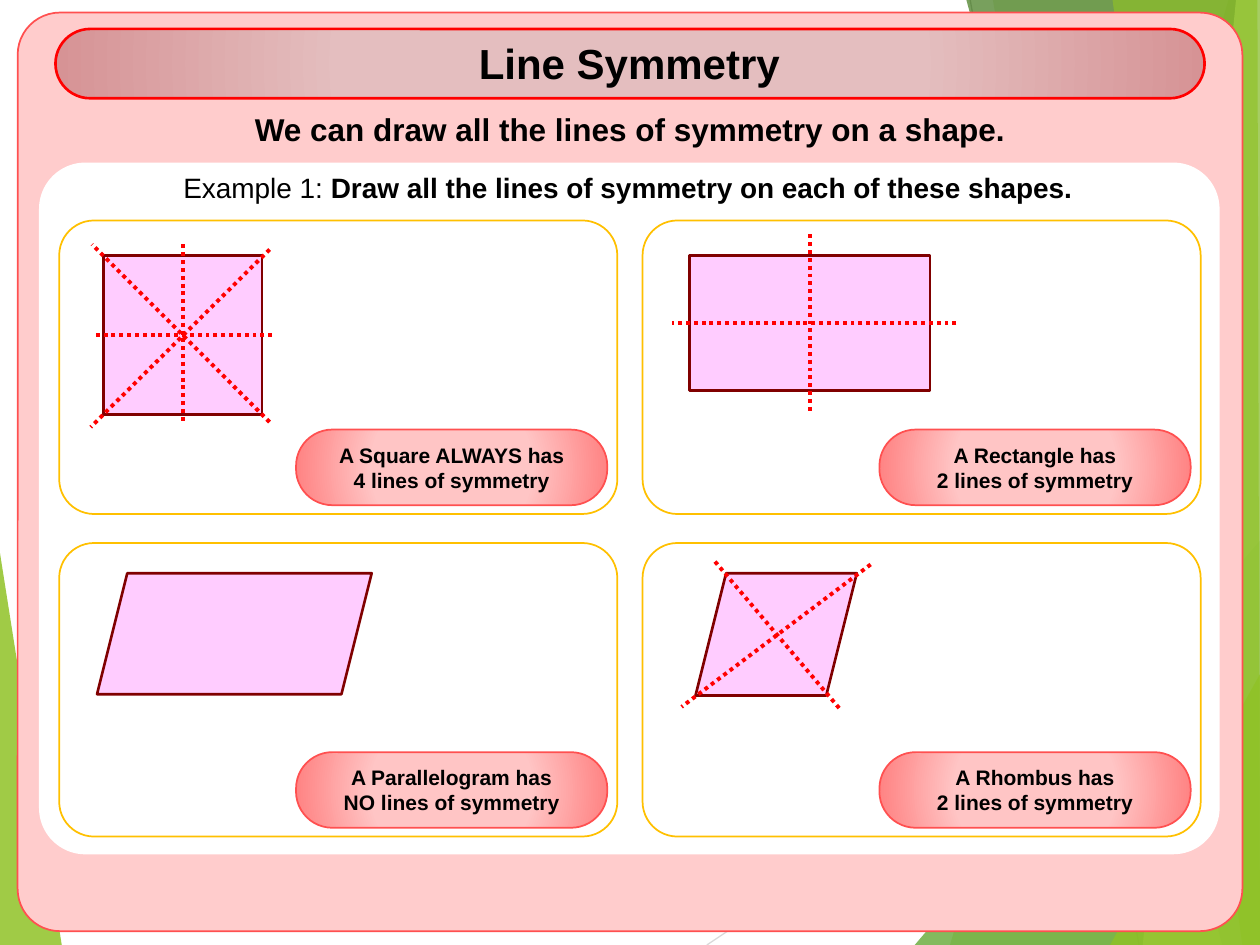
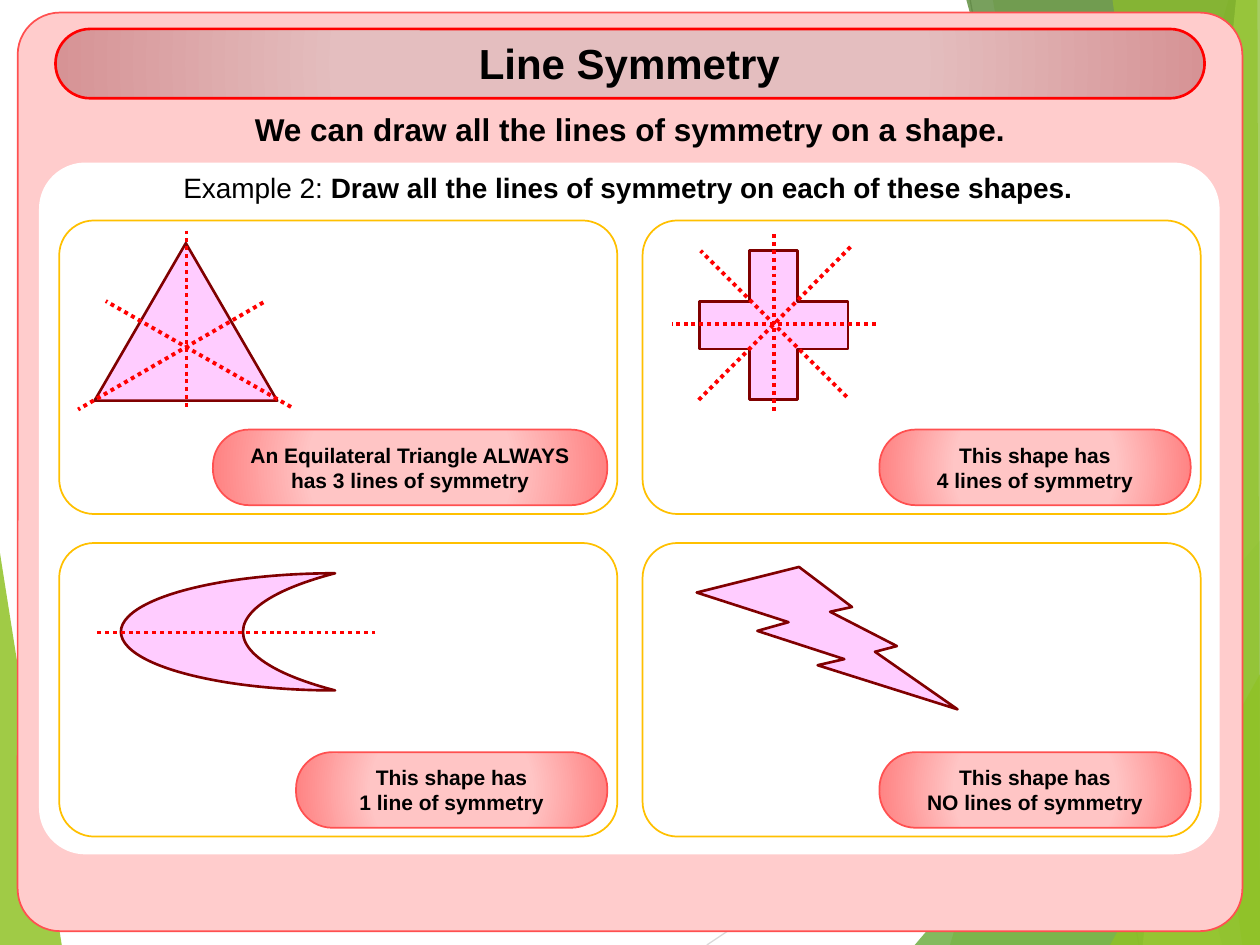
from pptx import Presentation
from pptx.dml.color import RGBColor
from pptx.enum.dml import MSO_LINE
from pptx.enum.shapes import MSO_CONNECTOR, MSO_SHAPE
from pptx.enum.text import MSO_ANCHOR, PP_ALIGN
from pptx.oxml import parse_xml
from pptx.oxml.ns import nsdecls, qn
from pptx.util import Inches, Pt

STRAIGHT = MSO_CONNECTOR.STRAIGHT
ROUNDED = MSO_SHAPE.ROUNDED_RECTANGLE
CENTER, MIDDLE = PP_ALIGN.CENTER, MSO_ANCHOR.MIDDLE
DOTTED, SOLID = MSO_LINE.ROUND_DOT, MSO_LINE.SOLID

WIDTH, HEIGHT = 10, 7.5
FONT = "Arial"
COLORS = {
    "text": "000000", "white": "FFFFFF", "panel": "FFCCCC", "panel_edge": "FF5050",
    "band_center": "E4BEBF", "band_rim": "D69395", "axis": "FF0000",
    "badge_center": "FFC5C5", "badge_rim": "FF8080", "card_edge": "FFC000",
    "figure": "FFCCFF", "figure_edge": "800000",
    "lime": "90C226", "green": "54A021", "forest": "3F7819", "pale": "C0E474",
    "light_gray": "D9D9D9", "gray": "BFBFBF",
}

# Backdrop facets: colour, opacity in percent, corners
FACETS = [
    ("lime", 85, [(0, 4.39), (0.49, HEIGHT), (0, HEIGHT)]),
    ("lime", 30, [(9.75, 0), (7.54, HEIGHT), (WIDTH, HEIGHT), (WIDTH, 0)]),
    ("lime", 20, [(7.88, 0), (9.19, HEIGHT), (WIDTH, HEIGHT), (WIDTH, 0)]),
    ("green", 72, [(7.26, HEIGHT), (WIDTH, 4.29), (WIDTH, HEIGHT)]),
    ("forest", 70, [(7.67, 0), (9.7, HEIGHT), (WIDTH, HEIGHT), (WIDTH, 0)]),
    ("pale", 70, [(9.81, 0), (9.07, HEIGHT), (WIDTH, HEIGHT), (WIDTH, 0)]),
    ("lime", 65, [(8.83, 0), (9.86, HEIGHT), (WIDTH, HEIGHT), (9.98, 0)]),
    ("lime", 80, [(8.81, HEIGHT), (WIDTH, 5.35), (WIDTH, HEIGHT)]),
]

# Two-by-two grid of cards; figures and axes are measured from a card's corner
COLUMNS, ROWS = (0.47, 5.1), (1.75, 4.31)
CARD_WIDTH, CARD_HEIGHT = 4.43, 2.33
BADGE_HEIGHT, BADGE_MARGIN = 0.6, 0.08

# Each card: figure, its box, adjustment, axes of symmetry, badge width, badge text
EXAMPLES = [
    [
        (MSO_SHAPE.RECTANGLE, (0.35, 0.28, 1.26, 1.26), None,
         [(0.98, 0.19, 0.98, 1.61), (1.69, 0.91, 0.27, 0.91),
          (1.67, 0.23, 0.25, 1.64), (1.67, 1.6, 0.26, 0.19)],
         2.47, "A Square ALWAYS has\n4 lines of symmetry"),
        (MSO_SHAPE.RECTANGLE, (0.37, 0.28, 1.91, 1.07), None,
         [(1.33, 0.11, 1.33, 1.53), (2.49, 0.81, 0.23, 0.81)],
         2.47, "A Rectangle has\n2 lines of symmetry"),
        (MSO_SHAPE.PARALLELOGRAM, (0.3, 0.24, 2.18, 0.96), None, [],
         2.47, "A Parallelogram has\nNO lines of symmetry"),
        (MSO_SHAPE.PARALLELOGRAM, (0.42, 0.24, 1.28, 0.97), None,
         [(1.81, 0.17, 0.31, 1.3), (1.56, 1.31, 0.56, 0.13)],
         2.47, "A Rhombus has\n2 lines of symmetry"),
    ],
    [
        (MSO_SHAPE.ISOSCELES_TRIANGLE, (0.28, 0.18, 1.45, 1.25), None,
         [(1.01, 0.08, 1.01, 1.5), (1.62, 0.65, 0.15, 1.5), (1.84, 1.48, 0.37, 0.64)],
         3.13, "An Equilateral Triangle ALWAYS has 3 lines of symmetry"),
        (MSO_SHAPE.CROSS, (0.45, 0.24, 1.18, 1.18), 0.34,
         [(1.04, 0.11, 1.04, 1.53), (1.85, 0.82, 0.23, 0.82),
          (1.65, 0.21, 0.43, 1.44), (1.62, 1.4, 0.46, 0.24)],
         2.47, "This shape has\n4 lines of symmetry"),
        (MSO_SHAPE.MOON, (0.49, 0.24, 1.7, 0.93), 0.57,
         [(2.51, 0.71, 0.3, 0.71)],
         2.47, "This shape has\n1 line of symmetry"),
        (MSO_SHAPE.LIGHTNING_BOLT, (0.43, 0.19, 2.07, 1.13), None, [],
         2.47, "This shape has\nNO lines of symmetry"),
    ],
]


def add_shape(slide, kind, box, fill=None, edge=None, edge_width=1, adjustment=None):
    """Add a preset shape; a (center, rim) pair as fill gives a radial gradient."""
    shape = slide.shapes.add_shape(kind, *map(Inches, box))
    shape.shadow.inherit = False
    if adjustment is not None:
        shape.adjustments[0] = adjustment
    if isinstance(fill, str):
        shape.fill.solid()
        shape.fill.fore_color.rgb = RGBColor.from_string(COLORS[fill])
    else:
        shape.fill.background()
    if isinstance(fill, tuple):
        center, rim = (COLORS[name] for name in fill)
        stops = "".join(
            f'<a:gs pos="{position}000"><a:srgbClr val="{color}"/></a:gs>'
            for position, color in ((0, center), (50, center), (100, rim)))
        properties = shape.element.spPr
        properties.replace(properties.find(qn("a:noFill")), parse_xml(
            f'<a:gradFill {nsdecls("a")}><a:gsLst>{stops}</a:gsLst><a:path path="circle">'
            '<a:fillToRect l="50000" t="50000" r="50000" b="50000"/></a:path></a:gradFill>'))
    if edge:
        shape.line.color.rgb = RGBColor.from_string(COLORS[edge])
        shape.line.width = Pt(edge_width)
    else:
        shape.line.fill.background()
    return shape


def add_line(slide, ends, color, width, dash):
    line = slide.shapes.add_connector(STRAIGHT, *map(Inches, ends))
    line.line.color.rgb = RGBColor.from_string(COLORS[color])
    line.line.width = Pt(width)
    line.line.dash_style = dash
    line.element.spPr.append(parse_xml(f'<a:effectLst {nsdecls("a")}/>'))
    return line


presentation = Presentation()
presentation.slide_width, presentation.slide_height = Inches(WIDTH), Inches(HEIGHT)

# Layout: title position and backdrop shared by both slides
layout = presentation.slide_layouts.get_by_name("Title Only")
for placeholder in list(layout.placeholders):
    if placeholder.placeholder_format.idx == 0:
        placeholder.left, placeholder.top = Inches(0.67), Inches(0.25)
        placeholder.width, placeholder.height = Inches(8.65), Inches(0.5)
    else:
        layout.shapes.element.remove(placeholder.element)
slides = [presentation.slides.add_slide(layout) for _ in EXAMPLES]

backdrop = [
    add_line(slides[0], (5.61, HEIGHT, WIDTH, 4.57), "light_gray", 0.75, SOLID),
    add_line(slides[0], (7.7, 0, 9.04, HEIGHT), "gray", 0.75, SOLID),
]
for color, opacity, corners in FACETS:
    points = [(Inches(x), Inches(y)) for x, y in corners]
    builder = slides[0].shapes.build_freeform(*points[0])
    builder.add_line_segments(points[1:])
    facet = builder.convert_to_shape()
    facet.shadow.inherit = False
    facet.line.fill.background()
    facet.fill.solid()
    facet.fill.fore_color.rgb = RGBColor.from_string(COLORS[color])
    facet.element.spPr.find(qn("a:solidFill"))[0].append(
        parse_xml(f'<a:alpha {nsdecls("a")} val="{opacity}000"/>'))
    backdrop.append(facet)
for shape in backdrop:
    layout.shapes.element.append(shape.element)

for number, (slide, cards) in enumerate(zip(slides, EXAMPLES), start=1):
    add_shape(slide, ROUNDED, (0.14, 0.1, 9.72, 7.29), "panel", "panel_edge", 1, 0.046)
    add_shape(slide, ROUNDED, (0.31, 1.29, 9.37, 5.49), "white", adjustment=0.067)
    add_shape(slide, ROUNDED, (0.44, 0.23, 9.12, 0.55), ("band_center", "band_rim"),
              "axis", 1.5, 0.5)

    title = slide.shapes.title
    slide.shapes.element.append(title.element)  # bring in front of the band
    title.text_frame.text = "Line Symmetry"
    statement = slide.shapes.add_textbox(*map(Inches, (0.23, 0.82, 9.54, 0.4)))
    statement.text_frame.text = "We can draw all the lines of symmetry on a shape."
    task = slide.shapes.add_textbox(*map(Inches, (0.5, 1.3, 8.97, 0.37)))
    task.text_frame.text = f"Example {number}: "
    instruction = task.text_frame.paragraphs[0].add_run()
    instruction.text = "Draw all the lines of symmetry on each of these shapes."
    instruction.font.bold = True
    texts = [(title, 24, True), (statement, 18, True), (task, 16, False)]

    for index, (kind, box, adjustment, axes, badge_width, caption) in enumerate(cards):
        left, top = COLUMNS[index % 2], ROWS[index // 2]
        add_shape(slide, ROUNDED, (left, top, CARD_WIDTH, CARD_HEIGHT), None,
                  "card_edge", 1, 0.119)
        x, y, width, height = box
        add_shape(slide, kind, (left + x, top + y, width, height), "figure",
                  "figure_edge", 1.5, adjustment)
        for x1, y1, x2, y2 in axes:
            add_line(slide, (left + x1, top + y1, left + x2, top + y2),
                     "axis", 2.25, DOTTED)
        badge = add_shape(
            slide, ROUNDED,
            (left + CARD_WIDTH - BADGE_MARGIN - badge_width,
             top + CARD_HEIGHT - BADGE_MARGIN - BADGE_HEIGHT + 0.01,
             badge_width, BADGE_HEIGHT),
            ("badge_center", "badge_rim"), "panel_edge", 1, 0.48)
        badge.text_frame.text = caption
        badge.text_frame.margin_top = badge.text_frame.margin_bottom = 0
        texts.append((badge, 12, True))

    for shape, size, bold in texts:
        shape.text_frame.word_wrap = True
        shape.text_frame.vertical_anchor = MIDDLE
        for paragraph in shape.text_frame.paragraphs:
            paragraph.alignment = CENTER
            paragraph.font.name = FONT
            paragraph.font.size = Pt(size)
            paragraph.font.bold = bold
            paragraph.font.color.rgb = RGBColor.from_string(COLORS["text"])

presentation.save("out.pptx")
